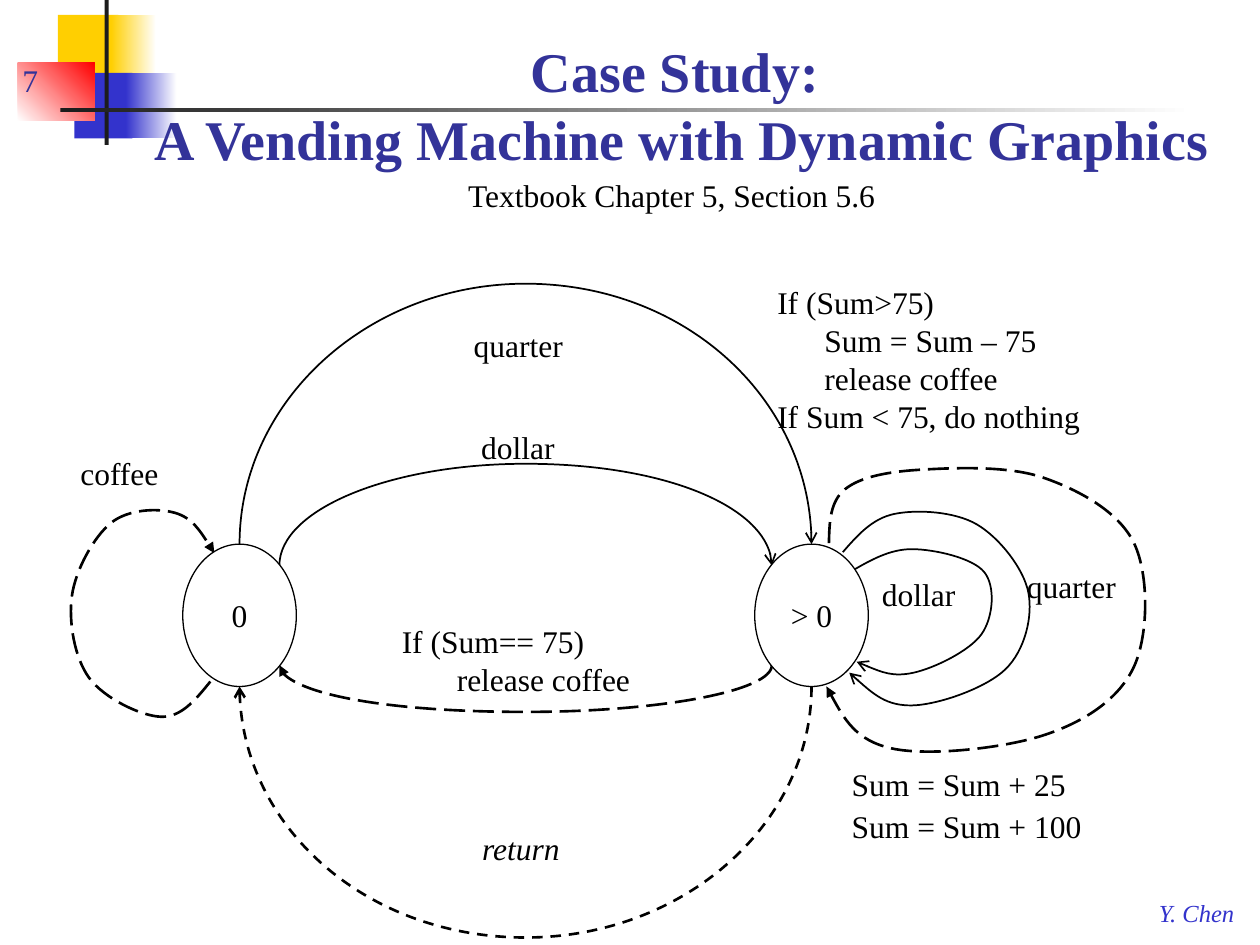
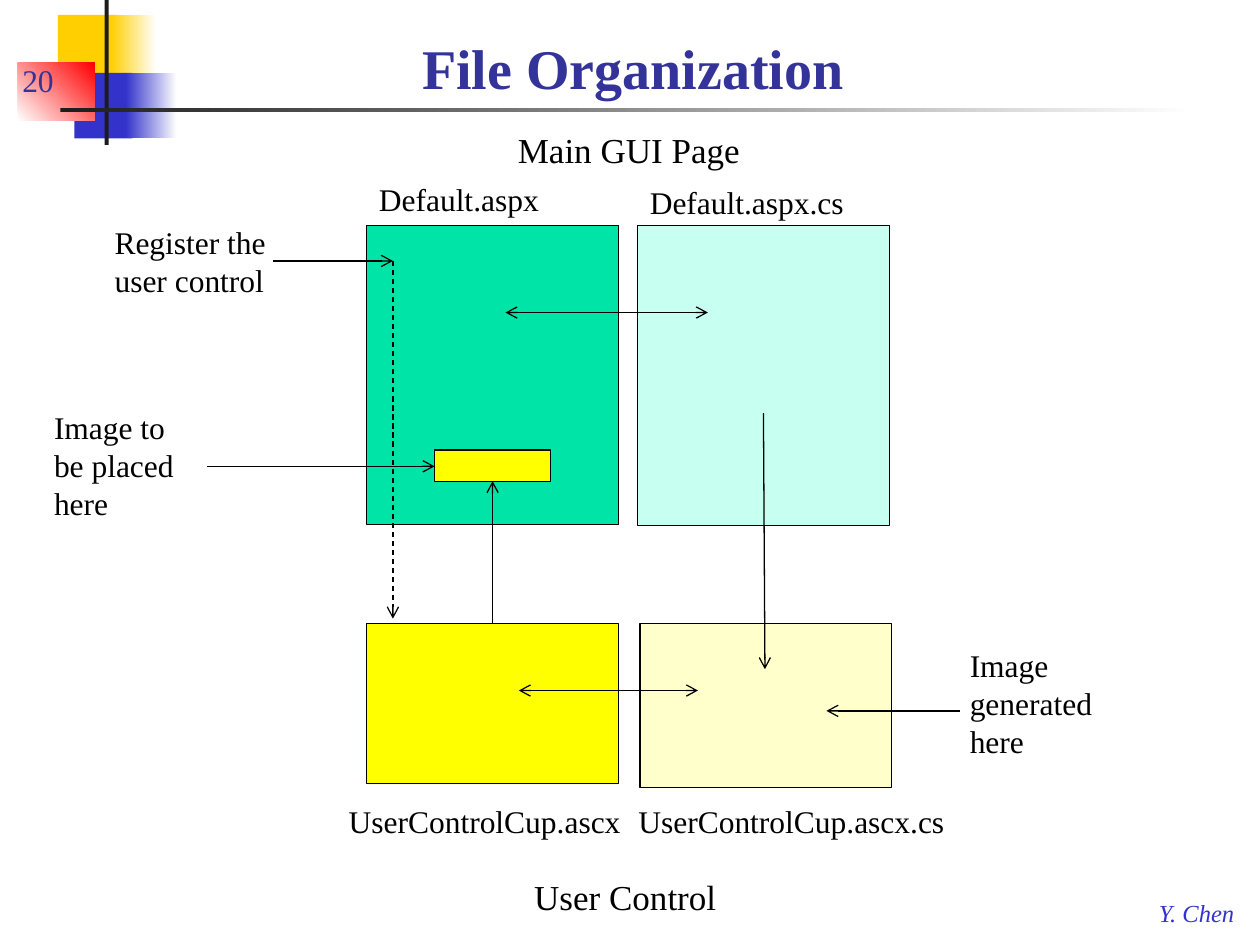
from lxml import etree
from pptx import Presentation
from pptx import util as u
from pptx.dml.color import RGBColor
from pptx.enum import dml, shapes, text
from pptx.oxml import ns

FONT = "Times New Roman"
COLORS = {
    "black": "000000", "white": "FFFFFF", "title": "333399", "blue": "3333CC",
    "gold": "FFCF01", "red": "FF0000", "rule": "1C1C1C", "green": "00E4A8",
    "mint": "C7FFF0", "yellow": "FFFF00", "cream": "FFFFCC",
}
RECT, OVAL = shapes.MSO_SHAPE.RECTANGLE, shapes.MSO_SHAPE.OVAL
DASH, LONG_DASH = dml.MSO_LINE.DASH, dml.MSO_LINE.LONG_DASH
LEFT, CENTER = text.PP_ALIGN.LEFT, text.PP_ALIGN.CENTER
TOP, MIDDLE, BOTTOM = text.MSO_ANCHOR.TOP, text.MSO_ANCHOR.MIDDLE, text.MSO_ANCHOR.BOTTOM


def rgb(name):
    return RGBColor.from_string(COLORS[name])


def write(tf, lines, size=18, color="black", bold=False, italic=False,
          align=LEFT, anchor=TOP, indents=()):
    """Fill a frame with one paragraph per line; "\\v" breaks a line inside one."""
    tf.word_wrap = True
    tf.vertical_anchor = anchor
    for i, line in enumerate(lines):
        p = tf.paragraphs[0] if i == 0 else tf.add_paragraph()
        p.alignment = align
        if i < len(indents) and indents[i]:
            p._p.get_or_add_pPr().set("marL", str(u.Cm(indents[i])))
        for j, part in enumerate(line.split("\v")):
            if j:
                p.add_line_break()
            r = p.add_run()
            r.text = part
            r.font.name, r.font.size = FONT, u.Pt(size)
            r.font.bold, r.font.italic = bold, italic
            r.font.color.rgb = rgb(color)


def label(slide, x, y, w, *lines, h=None, **style):
    h = h or 1.02 * len(lines)
    sp = slide.shapes.add_textbox(u.Cm(x), u.Cm(y), u.Cm(w), u.Cm(h))
    write(sp.text_frame, lines, **style)


def block(slide, x, y, w, h, fill, fade=None, angle=0, outline=False, kind=RECT):
    """Preset shape with a plain fill, or one that fades to a second colour."""
    sp = slide.shapes.add_shape(kind, u.Cm(x), u.Cm(y), u.Cm(w), u.Cm(h))
    sp.shadow.inherit = False
    if fade:
        sp.fill.gradient()
        sp.fill.gradient_angle = angle
        for stop, color in zip(sp.fill.gradient_stops, (fill, fade)):
            stop.color.rgb = rgb(color)
    else:
        sp.fill.solid()
        sp.fill.fore_color.rgb = rgb(fill)
    if outline:
        stroke(sp, 0.75)
    else:
        sp.line.fill.background()
    return sp


def stroke(sp, width, dash=None, head=None, tail=None):
    sp.line.color.rgb = rgb("black")
    sp.line.width = u.Pt(width)
    if dash:
        sp.line.dash_style = dash
    ln = sp.line._get_or_add_ln()
    for tag, kind in (("a:headEnd", head), ("a:tailEnd", tail)):
        if kind:
            etree.SubElement(ln, ns.qn(tag), type=kind)


def arrow(slide, x1, y1, x2, y2, dash=None, head=None):
    cxn = slide.shapes.add_connector(
        shapes.MSO_CONNECTOR.STRAIGHT, u.Cm(x1), u.Cm(y1), u.Cm(x2), u.Cm(y2))
    stroke(cxn, 0.75, dash, head, "arrow")
    etree.SubElement(cxn._element.spPr, ns.qn("a:effectLst"))


def bezier(slide, points, width, dash, tail):
    """Open cubic curve: a start point, then three points for each segment."""
    emu = [(u.Cm(x), u.Cm(y)) for x, y in points]
    builder = slide.shapes.build_freeform(*emu[0], scale=1.0)
    builder.add_line_segments(emu[1:], close=False)
    sp = builder.convert_to_shape()
    sp.shadow.inherit = False
    sp.fill.background()
    stroke(sp, width, dash, tail=tail)
    outline = sp._element.xpath(".//a:path")[0]
    steps = outline.findall(ns.qn("a:lnTo"))
    for i in range(0, len(steps), 3):
        curve = etree.SubElement(outline, ns.qn("a:cubicBezTo"))
        for step in steps[i:i + 3]:
            curve.append(step[0])
            outline.remove(step)


def arc(slide, start, end, peak, width=1, dash=None, tail="arrow"):
    """Half ellipse from start to end whose middle reaches the height peak."""
    (x1, y1), (x2, y2) = start, end
    mid, k = (x1 + x2) / 2, 0.55
    bezier(slide, [
        start, (x1, y1 + k * (peak - y1)), (mid + k * (x1 - mid), peak), (mid, peak),
        (mid + k * (x2 - mid), peak), (x2, y2 + k * (peak - y2)), end,
    ], width, dash, tail)


def loop(slide, knots, width=1, dash=None, tail="arrow"):
    """Smooth curve through the knots."""
    def blend(a, b, t):
        return a[0] + t * (b[0] - a[0]), a[1] + t * (b[1] - a[1])

    handles = []
    for before, (x, y), after in zip(knots, knots[1:], knots[2:]):
        dx, dy = (after[0] - before[0]) / 6, (after[1] - before[1]) / 6
        handles.append([(x - dx, y - dy), (x, y), (x + dx, y + dy)])
    points = [knots[0], blend(knots[0], handles[0][0], 0.5)]
    points += [pt for handle in handles for pt in handle]
    points += [blend(knots[-1], handles[-1][2], 0.5), knots[-1]]
    bezier(slide, points, width, dash, tail)


def frame(prs, number):
    """New slide with the corner blocks, rules, page number and footer."""
    slide = prs.slides.add_slide(prs.slide_layouts[6])
    block(slide, 1.17, 0.3, 1.22, 1.32, "gold")
    block(slide, 2.24, 0.3, 0.91, 1.32, "gold", "white")
    block(slide, 1.5, 1.47, 1.17, 1.32, "blue")
    block(slide, 2.54, 1.47, 1.02, 1.32, "blue", "white")
    block(slide, 0.36, 1.27, 1.55, 1.17, "white", "red", angle=45)
    block(slide, 2.11, 0, 0.08, 2.92, "rule")
    block(slide, 1.22, 2.18, 22.86, 0.08, "rule", "white")
    label(slide, 23.11, 17.98, 2.2, "Y. Chen", h=0.84, size=14, color="blue", italic=True)
    label(slide, 0.2, 0.84, 1.91, number, h=1.27, color="title", anchor=BOTTOM)
    return slide


def title(slide, x, y, w, h, words, align=LEFT):
    label(slide, x, y, w, words, h=h, size=32, color="title", bold=True,
          align=align, anchor=BOTTOM)


def state_diagram(slide, left, top):
    def at(x, y):
        return left + x, top + y

    w, h, y = 2.29, 2.87, 5.89
    cy, dx, dy = y + h / 2, 0.35 * w, 0.35 * h
    zero, more = 3.56, 15.09  # centres of the two states
    arc(slide, at(zero, y), at(more, y), top + 0.64)
    arc(slide, at(zero + dx, cy - dy), at(more - dx, cy - dy), top + 4.27)
    arc(slide, at(more - dx, cy + dy), at(zero + dx, cy + dy), top + 9.27,
        1.5, LONG_DASH, "triangle")
    arc(slide, at(more, y + h), at(zero, y + h), top + 13.82, 1.5, DASH)

    coffee = [(2.97, 8.66), (1.98, 9.37), (0.53, 8.59), (0.18, 6.93), (0.97, 5.46),
              (2.26, 5.26), (3.05, 6.07)]
    dollar = [(15.9, 6.43), (17.12, 5.99), (18.57, 6.45), (18.52, 7.7),
              (17.15, 8.48), (16, 8.26)]
    quarter = [(15.72, 6.05), (16.76, 5.28), (18.42, 5.49), (19.46, 6.86), (19, 8.41),
               (17.12, 9.14), (15.85, 8.48)]
    change = [(15.44, 5.87), (15.77, 4.78), (17.3, 4.39), (19.76, 4.55), (21.59, 5.87),
              (21.59, 8.36), (19.81, 9.73), (16.71, 10.01), (15.39, 8.76)]
    for knots in (dollar, quarter):
        loop(slide, [at(*k) for k in knots])
    for knots in (coffee, change):
        loop(slide, [at(*k) for k in knots], 1.5, LONG_DASH, "triangle")

    for x, ly, lw, words in (
            (8.03, 1.37, 3.81, "quarter"), (8.18, 3.43, 3.28, "dollar"),
            (0.1, 3.94, 3.2, "coffee"), (19.18, 6.22, 3.28, "quarter"),
            (16.26, 6.38, 2.57, "dollar"), (15.65, 10.21, 6.6, "Sum = Sum + 25"),
            (15.65, 11.07, 6.6, "Sum = Sum + 100")):
        label(slide, *at(x, ly), lw, words)
    label(slide, *at(8.2, 11.51), 3.25, "return", italic=True)
    label(slide, *at(6.58, 7.34), 6.3, "If (Sum== 75)", "release coffee", indents=(0, 1.11))
    label(slide, *at(14.15, 0.51), 7.98, "If (Sum>75)", "Sum = Sum – 75",
          "release coffee", "If Sum < 75, do nothing", indents=(0, 0.95, 0.95))

    for cx, name in ((zero, "0"), (more, "> 0")):
        sp = block(slide, *at(cx - w / 2, y), w, h, "white", outline=True, kind=OVAL)
        write(sp.text_frame, [name], align=CENTER, anchor=MIDDLE)


def file_diagram(slide, left, top):
    def at(x, y):
        return left + x, top + y

    for x, y, h, color, name, lx, ly, lw in (
            (6.63, 2.14, 6.02, "green", "Default.aspx", 6.63, 1.1, 4),
            (12.09, 2.14, 6.05, "mint", "Default.aspx.cs", 12.09, 1.15, 4.8),
            (6.63, 10.16, 3.23, "yellow", "UserControlCup.ascx", 6.02, 13.64, 6.5),
            (12.14, 10.16, 3.3, "cream", "UserControlCup.ascx.cs", 11.86, 13.64, 7.2)):
        block(slide, *at(x, y), 5.08, h, color, outline=True)
        label(slide, *at(lx, ly), lw, name)
    block(slide, *at(8, 6.66), 2.34, 0.64, "yellow", outline=True)

    for x1, y1, x2, y2, dash, head in (
            (9.17, 10.16, 9.17, 7.29, None, None),
            (9.7, 11.51, 13.31, 11.51, None, "arrow"),
            (14.63, 5.92, 14.66, 11.08, None, None),
            (7.16, 2.85, 7.16, 10.06, DASH, None),
            (9.43, 3.89, 13.51, 3.89, None, "arrow"),
            (3.41, 6.99, 8, 6.99, None, None),
            (18.59, 11.92, 15.9, 11.92, None, None),
            (4.75, 2.85, 7.16, 2.85, None, None)):
        arrow(slide, *at(x1, y1), *at(x2, y2), dash, head)

    label(slide, *at(9.43, 0.05), 5.3, "Main GUI Page", size=20)
    label(slide, *at(9.76, 15.12), 4.6, "User Control", size=20)
    label(slide, *at(0.08, 5.69), 3.33, "Image to be placed here", h=2.57)
    label(slide, *at(18.54, 10.49), 3.73, "Image generated here", h=2.57)
    label(slide, *at(1.3, 1.96), 4.24, "Register the user control", h=1.8)


def main():
    prs = Presentation()
    prs.slide_width, prs.slide_height = u.Cm(25.4), u.Cm(19.05)

    slide = frame(prs, "7")
    title(slide, 2.74, 0.2, 22.02, 3.38,
          "Case Study: \vA Vending Machine with Dynamic Graphics", CENTER)
    state_diagram(slide, 1.27, 5.08)
    label(slide, 9.19, 3.43, 9.1, "Textbook Chapter 5, Section 5.6")

    slide = frame(prs, "20")
    title(slide, 8.26, 0.43, 16.94, 1.73, "File Organization")
    file_diagram(slide, 0.76, 2.41)

    prs.save("out.pptx")


if __name__ == "__main__":
    main()
